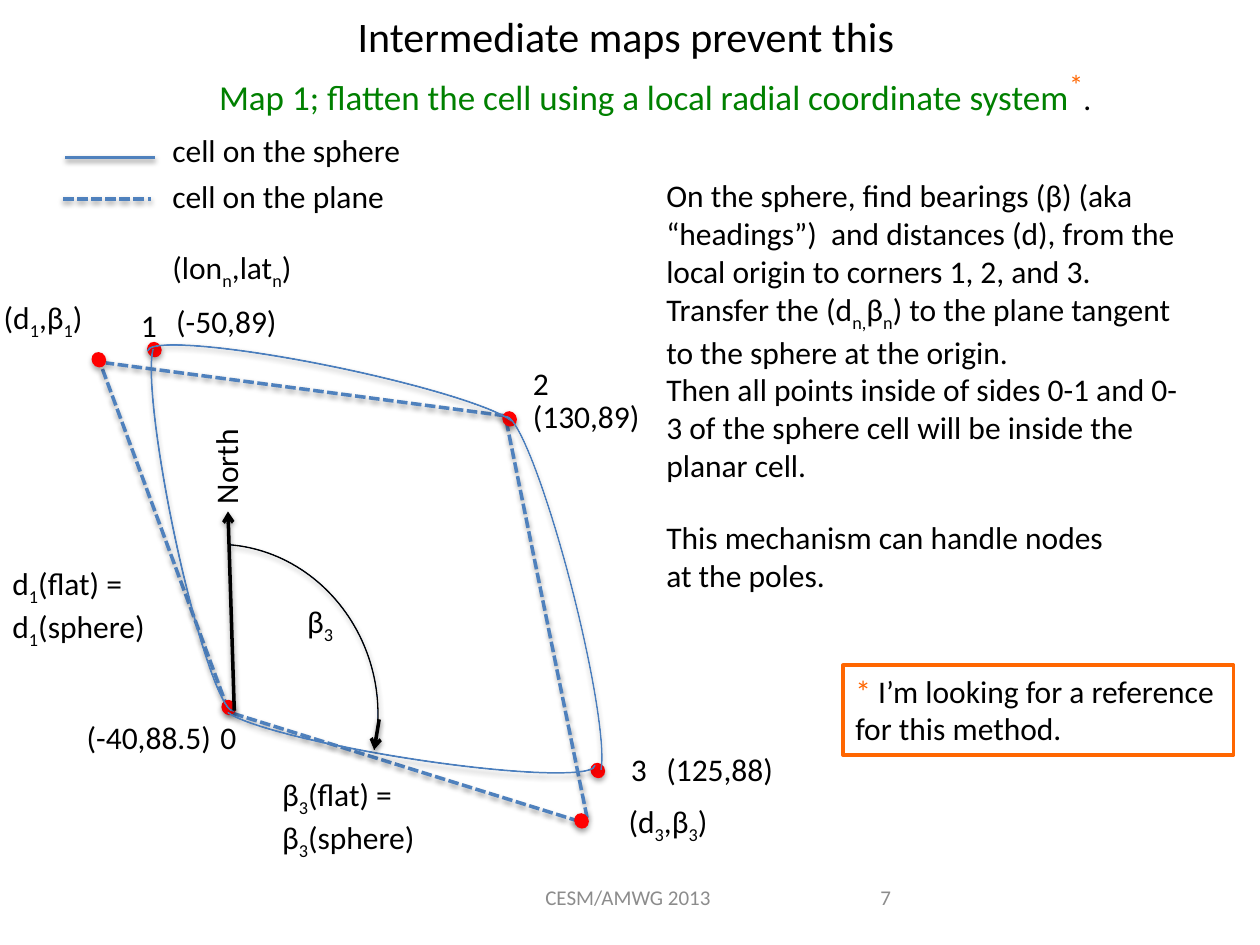
from dataclasses import dataclass
from typing import NamedTuple

from lxml import etree
from pptx import Presentation
from pptx.dml.color import RGBColor
from pptx.enum import dml, shapes, text
from pptx.oxml.ns import qn
from pptx.util import Pt


@dataclass(frozen=True)
class Theme:
    font: str = "Calibri"
    title: float = 24
    subtitle: float = 20
    star: float = 28
    body: float = 18
    footer: float = 12
    black: str = "000000"
    green: str = "008000"
    orange: str = "FF6600"
    grey: str = "8C8C8C"
    red: str = "FF0000"
    edge: str = "4F81BD"
    arc: str = "4B7EBC"
    arc_fill: tuple = ("3F80CE", "A4C4FF")


THEME = Theme()


class Box(NamedTuple):
    left: float
    top: float
    width: float
    height: float

    def inner(self, x, y, width, height):
        return Box(self.left + x, self.top + y, width, height)

    def lengths(self):
        return [Pt(value) for value in self]


class Span(NamedTuple):
    words: str
    size: float = THEME.body
    color: str = THEME.black
    baseline: int = 0


def rgb(color):
    return RGBColor.from_string(color)


def add_spans(paragraph, spans):
    """Write spans; inside a span, words between tildes are subscripts."""
    for span in spans:
        for index, words in enumerate(span.words.split("~")):
            if not words:
                continue
            run = paragraph.add_run()
            run.text = words
            run.font.name = THEME.font
            run.font.size = Pt(span.size)
            run.font.color.rgb = rgb(span.color)
            baseline = -25 if index % 2 else span.baseline
            if baseline:
                run.font._element.set("baseline", str(baseline * 1000))


def write(slide, box, *paragraphs, size=THEME.body, color=THEME.black, wrap=False,
          align=text.PP_ALIGN.LEFT, anchor=text.MSO_ANCHOR.TOP, grow=True,
          rotation=0, border=None):
    """Each paragraph is a string or a list of spans."""
    if border:
        holder = slide.shapes.add_shape(shapes.MSO_SHAPE.RECTANGLE, *box.lengths())
        holder.shadow.inherit = False
        holder.fill.background()
        holder.line.color.rgb = rgb(border)
        holder.line.width = Pt(2.25)
    else:
        holder = slide.shapes.add_textbox(*box.lengths())
    holder.rotation = rotation
    frame = holder.text_frame
    frame.word_wrap = wrap
    frame.vertical_anchor = anchor
    if grow:
        frame.auto_size = text.MSO_AUTO_SIZE.SHAPE_TO_FIT_TEXT
    for index, content in enumerate(paragraphs):
        paragraph = frame.add_paragraph() if index else frame.paragraphs[0]
        paragraph.alignment = align
        spans = [Span(content, size, color)] if isinstance(content, str) else content
        add_spans(paragraph, spans)


def add_shadow(shape, distance, opacity):
    effects = etree.SubElement(shape._element.spPr, qn("a:effectLst"))
    shadow = etree.SubElement(effects, qn("a:outerShdw"), blurRad=str(Pt(3.1)),
                              dist=str(Pt(distance)), dir="5400000", rotWithShape="0")
    black = etree.SubElement(shadow, qn("a:srgbClr"), val=THEME.black)
    etree.SubElement(black, qn("a:alpha"), val=str(opacity * 1000))


def add_line(slide, box, start, end, color=THEME.edge, dashed=False, arrow=False):
    ends = [Pt(v) for x, y in (start, end) for v in (box.left + x, box.top + y)]
    line = slide.shapes.add_connector(shapes.MSO_CONNECTOR.STRAIGHT, *ends)
    line.line.color.rgb = rgb(color)
    line.line.width = Pt(2)
    if dashed:
        line.line.dash_style = dml.MSO_LINE.SQUARE_DOT
    if arrow:
        etree.SubElement(line._element.spPr.find(qn("a:ln")), qn("a:tailEnd"), type="arrow")
    add_shadow(line, 1.6, 38)


def add_dot(slide, box, x, y):
    """Place a corner dot centred on x, y."""
    width, height = 9, 8.2
    place = box.inner(x - width / 2, y - height / 2, width, height)
    dot = slide.shapes.add_shape(shapes.MSO_SHAPE.OVAL, *place.lengths())
    dot.rotation = 60.9
    dot.fill.solid()
    dot.fill.fore_color.rgb = rgb(THEME.red)
    dot.line.fill.background()
    add_shadow(dot, 1.8, 35)


def add_arc(slide, box, rotation, start, end, thickness=0, color=THEME.arc):
    """Draw a hairline block arc between two angles in degrees."""
    arc = slide.shapes.add_shape(shapes.MSO_SHAPE.BLOCK_ARC, *box.lengths())
    arc.rotation = rotation
    for index, value in enumerate((start * 0.6, end * 0.6, thickness)):
        arc.adjustments[index] = value
    arc.fill.gradient()
    arc.fill.gradient_angle = 90
    for stop, stop_color in zip(arc.fill.gradient_stops, THEME.arc_fill):
        stop.color.rgb = rgb(stop_color)
    arc.line.color.rgb = rgb(color)
    arc.line.width = Pt(0.75)
    add_shadow(arc, 1.8, 35)


def heading(slide, box):
    write(slide, box.inner(79.2, 0, 326.2, 36), "Intermediate maps prevent this", size=THEME.title)
    write(slide, box.inner(0, 29.5, 520.6, 31.7), [
        Span("Map 1; flatten the cell using a local radial coordinate system",
             THEME.subtitle, THEME.green),
        Span("*", THEME.star, THEME.orange, 30),
        Span("."),
    ])


def legend(slide, box):
    add_line(slide, box, (1.4, 19), (52.6, 19))
    add_line(slide, box, (0, 42.8), (50.4, 42.8), dashed=True)
    write(slide, box.inner(55.4, 0.3, 171.4, 28.8), "cell on the sphere", wrap=True)
    write(slide, box.inner(55.4, 26.9, 136.8, 28.8), "cell on the plane")


def cell_outlines(slide, box):
    for start, end in [((130.3, 275.4), (58.3, 80.2)), ((288.7, 107.6), (60.5, 77.4)),
                       ((331.2, 339.4), (130.3, 276.8)), ((335.5, 337.3), (288.7, 107.6))]:
        add_line(slide, box, start, end, dashed=True)
    for x, y in [(56.5, 75.6), (291.2, 109.4), (88.2, 69.8),
                 (130.7, 274.3), (341.6, 310.3), (332.3, 339.1)]:
        add_dot(slide, box, x, y)
    for x, y, width, rotation, end, thickness in [
            (4.3, 158.7, 214.6, 258.2, 358.43, 0.007), (82.1, 79.5, 214.6, 11.7, 358.43, 0.007),
            (126.7, 278.2, 214.6, 189, 358.43, 0.007), (208.8, 198.3, 212.4, 75.7, 358.21, 0)]:
        add_arc(slide, box.inner(x, y, width, 25.2), rotation, 180, end, thickness)


def bearing(slide, box):
    add_arc(slide, box.inner(33.1, 186.8, 188.6, 176.4), 76, 196.39, 298.98, color=THEME.black)
    add_line(slide, box, (133.9, 276.1), (130.3, 162.3), THEME.black, arrow=True)
    add_line(slide, box, (216.7, 281.1), (213.8, 298.4), THEME.black, arrow=True)
    write(slide, box.inner(100.1, 122, 57.6, 28.8), "North", rotation=270)
    write(slide, box.inner(168.5, 210.6, 31, 28.8), "β~3~")


def corner_labels(slide, box):
    for label, x, y, width, height in [
            ("1", 73.4, 41.4, 23.8, 28.8), ("2", 297.4, 74.5, 23.8, 28.8),
            ("3", 353.5, 294.8, 23.8, 28.8), ("(-50,89)", 93.6, 39.2, 78.5, 33.1),
            ("(-40,88.5)", 42.5, 276.8, 93.6, 33.1), ("(125,88)", 373.7, 294.8, 82.1, 33.1),
            ("(130,89)", 297.4, 93.2, 82.1, 33.1), ("(lon~n~,lat~n~)", 91.4, 8.2, 85, 28.8),
            ("(d~1~,β~1~)", -5, 37, 64.1, 28.8), ("(d~3~,β~3~)", 352.1, 325, 64.1, 28.8)]:
        write(slide, box.inner(x, y, width, height), label)
    write(slide, box.inner(118.8, 276.8, 16.6, 28.8), "0", wrap=True)
    write(slide, box.inner(0, 189, 109.4, 51.1), "d~1~(flat) = d~1~(sphere)", wrap=True)
    write(slide, box.inner(154.1, 309.2, 92.2, 51.1), "β~3~(flat) =", "β~3~(sphere)")


def explanation(slide, box):
    write(slide, box.inner(0, 0, 306.7, 181.4),
          "On the sphere, find bearings (β) (aka “headings”)  and distances (d), "
          "from the local origin to corners 1, 2, and 3.",
          "Transfer the (d~n,~β~n~) to the plane tangent to the sphere at the origin.",
          "Then all points inside of sides 0-1 and 0-3 of the sphere cell will be "
          "inside the planar cell.", wrap=True)
    write(slide, box.inner(0, 195.1, 271.4, 51.1),
          "This mechanism can handle nodes at the poles.", wrap=True)


def reference_note(slide, box):
    write(slide, box, [Span("* ", color=THEME.orange),
                       Span("I’m looking for a reference for this method.")],
          wrap=True, border=THEME.orange)


def footer(slide, box):
    style = dict(size=THEME.footer, color=THEME.grey, wrap=True, grow=False,
                 anchor=text.MSO_ANCHOR.MIDDLE)
    write(slide, box.inner(0, 0, 139, 28.8), "CESM/AMWG 2013", align=text.PP_ALIGN.CENTER, **style)
    write(slide, box.inner(192.2, 0, 34.6, 28.8), "7", align=text.PP_ALIGN.RIGHT, **style)


def main():
    deck = Presentation()
    deck.slide_width, deck.slide_height = Pt(720), Pt(540)
    slide = deck.slides.add_slide(deck.slide_layouts[6])
    diagram = Box(0, 130, 456, 376)
    cell_outlines(slide, diagram)
    bearing(slide, diagram)
    corner_labels(slide, diagram)
    heading(slide, Box(118.1, 2.2, 520.6, 61.2))
    legend(slide, Box(36, 71, 227, 56))
    explanation(slide, Box(373.7, 97.2, 306.7, 246.2))
    reference_note(slide, Box(481.7, 380.2, 223.2, 51.1))
    footer(slide, Box(289.4, 498.2, 226.8, 28.8))
    deck.save("out.pptx")


if __name__ == "__main__":
    main()
